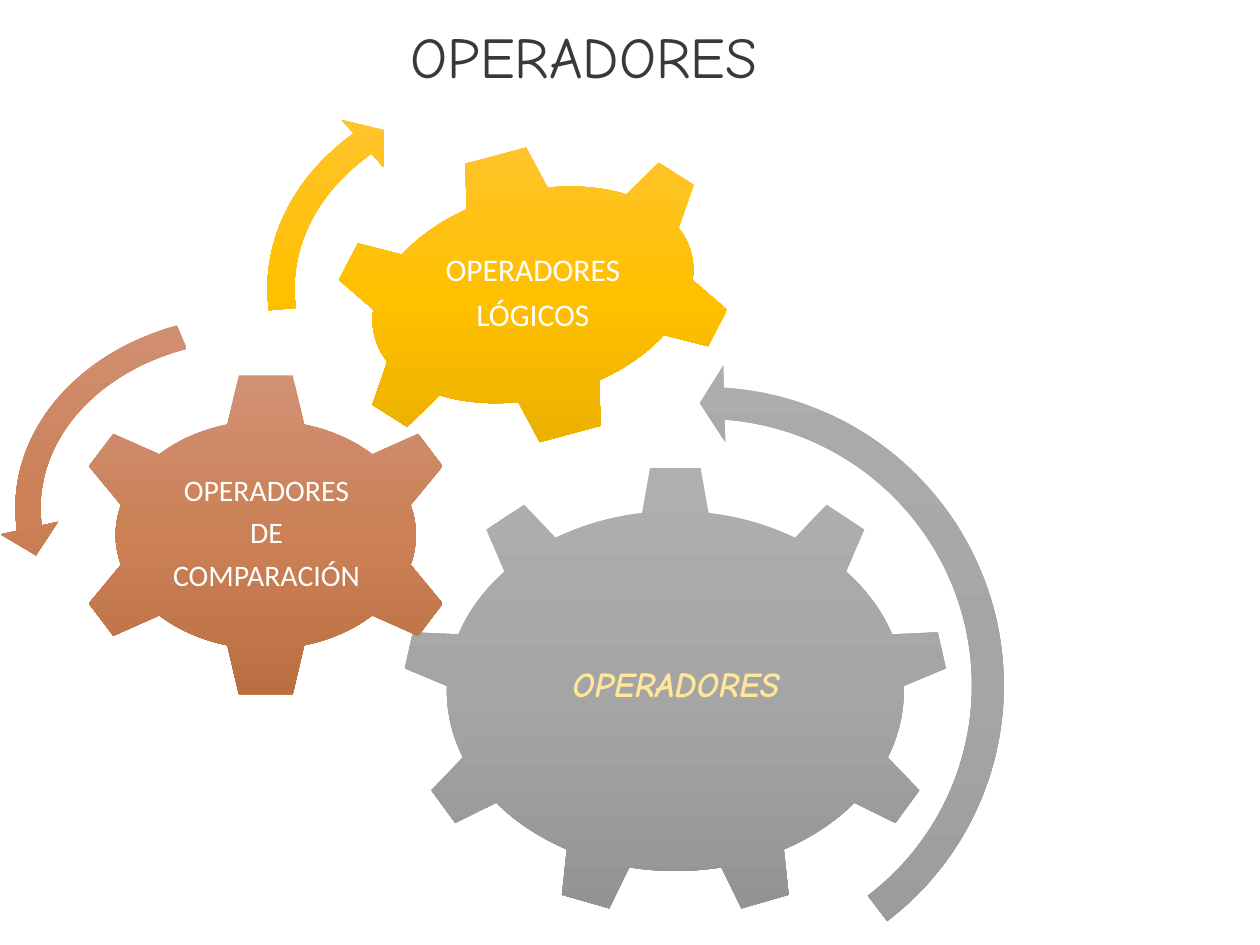
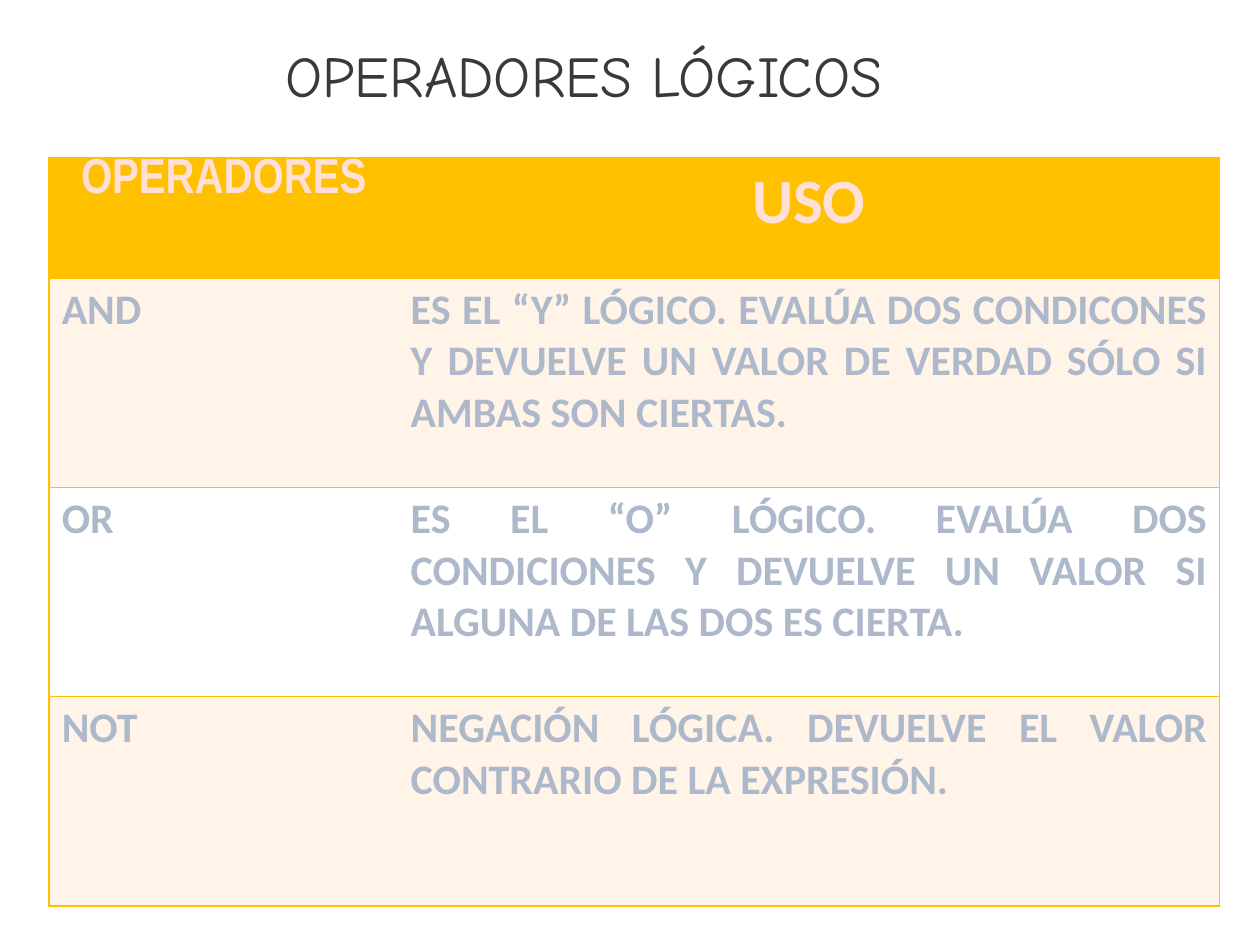
from copy import deepcopy

from lxml import etree
from pptx import Presentation
from pptx.dml.color import RGBColor
from pptx.enum import shapes, text
from pptx.oxml.ns import qn
from pptx.util import Inches, Pt

SHAPE = shapes.MSO_SHAPE
ALIGN = text.PP_ALIGN
GOLD, CREAM, WHITE = "FFC000", "FFF4E7", "FFFFFF"
CHARCOAL, SLATE, BLUSH, PALE_YELLOW = "3B3838", "ADB9CA", "FFDFD6", "FFE699"

# Top, middle and bottom colours of each gear and its arrow
GRAY_SHADES = ("AFAFAF", "A5A5A5", "939393")
COPPER_SHADES = ("D19275", "CB8056", "BA6F42")
GOLD_SHADES = ("FFC53A", "FFC000", "E4AB00")


def color(value):
    return RGBColor.from_string(value)


def inches(*values):
    return [Inches(value) for value in values]


class Deck:
    def __init__(self):
        self.presentation = Presentation()
        self.presentation.slide_width = Inches(10)
        self.presentation.slide_height = Inches(7.5)
        self.slide = None

    def format_paragraph(self, paragraph, align, font, spacing=None):
        for name, value in {"alignment": align, **(spacing or {})}.items():
            setattr(paragraph, name, value)
        for name, value in font.items():
            if name == "color":
                paragraph.font.color.rgb = color(value)
            else:
                setattr(paragraph.font, name, value)

    def add_slide(self, title, title_height):
        self.slide = self.presentation.slides.add_slide(
            self.presentation.slide_layouts[5])
        self.slide.background.fill.solid()
        self.slide.background.fill.fore_color.rgb = color(WHITE)
        placeholder = self.slide.shapes.title
        places = zip(("left", "top", "width", "height"),
                     inches(0.55, 0, 8.17, title_height))
        for name, value in places:
            setattr(placeholder, name, value)
        frame = placeholder.text_frame
        frame.text = title
        frame.auto_size = text.MSO_AUTO_SIZE.NONE
        frame.vertical_anchor = text.MSO_ANCHOR.MIDDLE
        font = {"name": "Comic Neue", "size": Pt(33), "color": CHARCOAL}
        self.format_paragraph(frame.paragraphs[0], ALIGN.CENTER, font,
                              {"line_spacing": 0.9})

    def add_shaded_shape(self, kind, place, shades, rotation=0, flip=False,
                         adjustments=()):
        shape = self.slide.shapes.add_shape(kind, *inches(*place))
        shape.shadow.inherit = False
        shape.line.fill.background()
        shape.rotation = rotation
        for index, value in enumerate(adjustments):
            shape.adjustments[index] = value
        properties = shape._element.spPr
        if flip:
            properties.find(qn("a:xfrm")).set("flipH", "1")

        # Vertical gradient with three stops that stays upright
        shape.fill.gradient()
        shape.fill.gradient_angle = 270
        gradient = properties.find(qn("a:gradFill"))
        gradient.set("rotWithShape", "0")
        stops = gradient.find(qn("a:gsLst"))
        stops.append(deepcopy(stops[0]))
        for index, stop in enumerate(shape.fill.gradient_stops):
            stop.position = index / 2
            stop.color.rgb = color(shades[index])

    def add_label(self, place, lines, font, margin):
        frame = self.slide.shapes.add_textbox(*inches(*place)).text_frame
        frame.word_wrap = True
        frame.vertical_anchor = text.MSO_ANCHOR.MIDDLE
        for side in ("left", "right", "top", "bottom"):
            setattr(frame, f"margin_{side}", Inches(margin))
        frame.text = "\n".join(lines)
        spacing = {"line_spacing": 0.9, "space_after": int(font["size"] * 0.35)}
        for paragraph in frame.paragraphs:
            self.format_paragraph(paragraph, ALIGN.CENTER, font, spacing)

    def add_borders(self, cell, sides):
        properties = cell._tc.get_or_add_tcPr()
        for index, side in enumerate("LRTB"):
            line = etree.Element(qn(f"a:ln{side}"), w=str(Pt(1)))
            if side in sides:
                fill = etree.SubElement(line, qn("a:solidFill"))
                etree.SubElement(fill, qn("a:srgbClr"), val=GOLD)
            else:
                etree.SubElement(line, qn("a:noFill"))
            properties.insert(index, line)

    def add_table(self, place, rows, widths, heights, header_fonts, body_font):
        table = self.slide.shapes.add_table(
            len(rows), len(widths), *inches(*place)).table
        for column, width in zip(table.columns, widths):
            column.width = Inches(width)
        for row, height in zip(table.rows, heights):
            row.height = Inches(height)
        for row_index, row in enumerate(rows):
            header = row_index == 0
            fill = GOLD if header else (WHITE, CREAM)[row_index % 2]
            for column_index, words in enumerate(row):
                cell = table.cell(row_index, column_index)
                cell.text = words
                cell.fill.solid()
                cell.fill.fore_color.rgb = color(fill)
                self.add_borders(cell, ("LTB", "RTB")[column_index])
                self.format_paragraph(
                    cell.text_frame.paragraphs[0],
                    ALIGN.CENTER if header else ALIGN.JUSTIFY,
                    header_fonts[column_index] if header else body_font)
        return table


def add_gears_slide(deck):
    deck.add_slide("OPERADORES", 0.95)
    label_font = {"name": "Calibri", "color": WHITE}

    # Gears with their labels
    deck.add_shaded_shape(SHAPE.GEAR_9, (3.19, 3.7, 4.34, 3.57), GRAY_SHADES)
    deck.add_label((4.01, 4.53, 2.71, 1.83), ["OPERADORES"],
                   {"name": "Comic Neue", "size": Pt(20), "bold": True,
                    "italic": True, "color": PALE_YELLOW}, 0.03)
    deck.add_shaded_shape(SHAPE.GEAR_6, (0.53, 2.95, 3.16, 2.59), COPPER_SHADES)
    deck.add_label((1.27, 3.6, 1.69, 1.28), ["OPERADORES", "DE", "COMPARACIÓN"],
                   {**label_font, "size": Pt(17)}, 0.02)
    deck.add_shaded_shape(SHAPE.GEAR_6, (2.58, 1.17, 3.3, 2.34), GOLD_SHADES,
                          rotation=345)
    deck.add_label((3.36, 1.62, 1.74, 1.43), ["OPERADORES", "LÓGICOS"],
                   {**label_font, "size": Pt(18)}, 0.03)

    # Turning arrows
    deck.add_shaded_shape(SHAPE.CIRCULAR_ARROW, (3.08, 2.89, 5.06, 5.08),
                          GRAY_SHADES, rotation=136, flip=True,
                          adjustments=(0.05, 2.99, 25.46, 157.98, 0.06))
    deck.add_shaded_shape(SHAPE.LEFT_CIRCULAR_ARROW, (-0.01, 2.37, 4.04, 3.32),
                          COPPER_SHADES,
                          adjustments=(0.06, 4.3, 104.89, 148.38, 0.07))
    deck.add_shaded_shape(SHAPE.CIRCULAR_ARROW, (1.98, 0.5, 4.36, 3.58),
                          GOLD_SHADES,
                          adjustments=(0.06, 3.94, 133.14, 105.08, 0.07))


def add_logic_slide(deck):
    deck.add_slide("OPERADORES LÓGICOS", 1.25)
    rows = [
        ("OPERADORES", "USO"),
        ("AND", "ES EL “Y” LÓGICO. EVALÚA DOS CONDICONES Y DEVUELVE UN VALOR "
                "DE VERDAD SÓLO SI AMBAS SON CIERTAS."),
        ("OR", "ES EL “O” LÓGICO. EVALÚA DOS CONDICIONES Y DEVUELVE UN VALOR "
               "SI ALGUNA DE LAS DOS ES CIERTA."),
        ("NOT", "NEGACIÓN LÓGICA. DEVUELVE EL VALOR CONTRARIO DE LA EXPRESIÓN."),
    ]
    header_font = {"bold": True, "color": BLUSH}
    table = deck.add_table(
        (0.39, 1.25, 9.29, 5.94), rows, (2.77, 6.52), (0.96, 1.66, 1.66, 1.66),
        ({**header_font, "name": "Arial Narrow", "size": Pt(28)},
         {**header_font, "name": "Calibri", "size": Pt(36)}),
        {"name": "Calibri", "size": Pt(24), "bold": True, "color": SLATE})
    table.cell(0, 0).margin_top = 0


def main():
    deck = Deck()
    add_gears_slide(deck)
    add_logic_slide(deck)
    deck.presentation.save("out.pptx")


if __name__ == "__main__":
    main()
